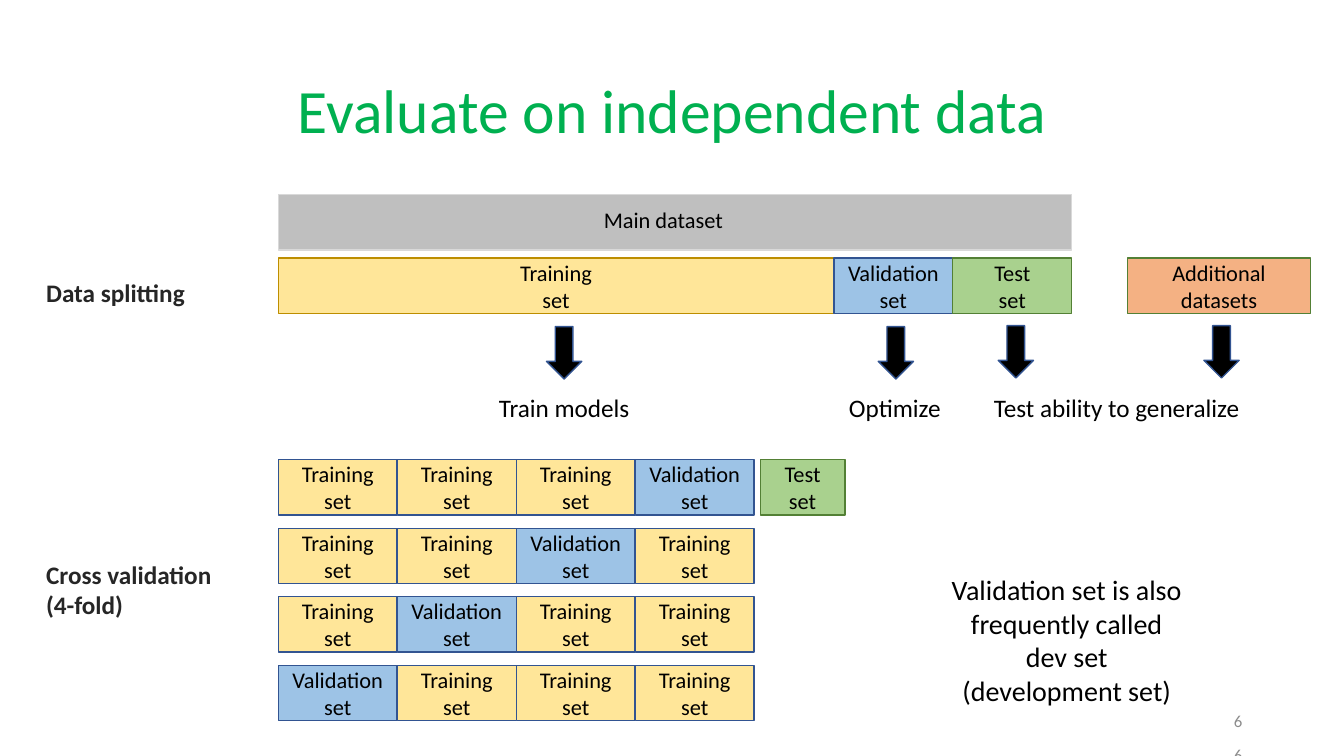
from pptx import Presentation
from pptx.dml.color import RGBColor
from pptx.enum import shapes, text
from pptx.util import Inches, Pt

BLACK = RGBColor(0x00, 0x00, 0x00)
TITLE_GREEN = RGBColor(0x00, 0xB0, 0x50)
LABEL_GRAY = RGBColor(0x26, 0x26, 0x26)
NUMBER_GRAY = RGBColor(0x8C, 0x8C, 0x8C)
MAIN_FILL = RGBColor(0xBF, 0xBF, 0xBF)
MAIN_LINE = RGBColor(0xD9, 0xD9, 0xD9)
TRAINING_FILL = RGBColor(0xFF, 0xE6, 0x99)
TRAINING_LINE = RGBColor(0xBD, 0x8E, 0x00)
VALIDATION_FILL = RGBColor(0x9D, 0xC3, 0xE6)
BLUE_LINE = RGBColor(0x32, 0x54, 0x91)
TEST_FILL = RGBColor(0xA9, 0xD1, 0x8E)
GREEN_LINE = RGBColor(0x53, 0x80, 0x35)
ADDITIONAL_FILL = RGBColor(0xF4, 0xB1, 0x83)

LEFT, CENTER, RIGHT = text.PP_ALIGN.LEFT, text.PP_ALIGN.CENTER, text.PP_ALIGN.RIGHT
TOP, MIDDLE = text.MSO_ANCHOR.TOP, text.MSO_ANCHOR.MIDDLE
RECTANGLE, DOWN_ARROW = shapes.MSO_SHAPE.RECTANGLE, shapes.MSO_SHAPE.DOWN_ARROW

BAR_HEIGHT = 0.55
SET_WIDTH = 1.18


def write(frame, wording, size, color=BLACK, align=CENTER, anchor=TOP, bold=False):
    """Fill a text frame, one paragraph per line of the wording."""
    frame.text = wording
    frame.word_wrap = True
    frame.vertical_anchor = anchor
    for paragraph in frame.paragraphs:
        paragraph.alignment = align
        font = paragraph.font
        font.name, font.size, font.bold = "Calibri", Pt(size), bold
        font.color.rgb = color


def add_label(slide, box, wording, size=18, **style):
    label = slide.shapes.add_textbox(*map(Inches, box))
    write(label.text_frame, wording, size, **style)
    return label


def add_block(slide, box, fill, line, wording="", kind=RECTANGLE):
    block = slide.shapes.add_shape(kind, *map(Inches, box))
    block.shadow.inherit = False
    block.fill.solid()
    block.fill.fore_color.rgb = fill
    block.line.color.rgb = line
    block.line.width = Pt(1)
    if wording:
        write(block.text_frame, wording, 16, anchor=MIDDLE)


def add_title(slide, box):
    title = add_label(slide, box, "Evaluate on independent data", 44,
                      color=TITLE_GREEN, anchor=MIDDLE)
    title.text_frame.paragraphs[0].line_spacing = 0.9


def add_data_splitting(slide, left, top, width):
    # Whole dataset
    add_block(slide, (left, top, width, BAR_HEIGHT), MAIN_FILL, MAIN_LINE)
    add_label(slide, (left + 3.13, top + 0.07, 1.4, 0.37), "Main dataset", 16, align=LEFT)

    # Its parts, each with an arrow below
    training_width = width - 2 * SET_WIDTH
    parts = [
        (0, training_width, "Training\nset", TRAINING_FILL, TRAINING_LINE, 2.66, 1.31),
        (training_width, SET_WIDTH, "Validation set", VALIDATION_FILL, BLUE_LINE, 5.95, 1.31),
        (width - SET_WIDTH, SET_WIDTH, "Test\nset", TEST_FILL, GREEN_LINE, 7.14, 1.3),
        (width + 0.55, 1.82, "Additional datasets", ADDITIONAL_FILL, GREEN_LINE, 9.18, 1.3),
    ]
    for offset, part_width, name, fill, line, arrow_x, arrow_y in parts:
        add_block(slide, (left + offset, top + 0.63, part_width, BAR_HEIGHT), fill, line, name)
        add_block(slide, (left + arrow_x, top + arrow_y, 0.35, 0.52),
                  BLACK, BLUE_LINE, kind=DOWN_ARROW)

    # Purpose of each part
    for offset, purpose_width, purpose in [
        (2.08, 1.51, "Train models"),
        (5.36, 1.51, "Optimize"),
        (6.63, 3.37, "Test ability to generalize"),
    ]:
        add_label(slide, (left + offset, top + 1.91, purpose_width, 0.4), purpose)


def add_cross_validation(slide, left, top, folds=4, pitch=0.68):
    # The validation set moves one place left in each row
    for row in range(folds):
        for column in range(folds):
            held_out = row + column == folds - 1
            add_block(slide,
                      (left + column * SET_WIDTH, top + row * pitch, SET_WIDTH, BAR_HEIGHT),
                      VALIDATION_FILL if held_out else TRAINING_FILL, BLUE_LINE,
                      "Validation\nset" if held_out else "Training\nset")
    add_block(slide, (left + folds * SET_WIDTH + 0.06, top, 0.84, BAR_HEIGHT),
              TEST_FILL, GREEN_LINE, "Test\nset")


def add_row_headings(slide, left):
    for top, width, height, heading in [
        (2.7, 1.6, 0.4, "Data splitting"),
        (5.5, 1.94, 0.71, "Cross validation\n(4-fold)"),
    ]:
        add_label(slide, (left, top, width, height), heading,
                  color=LABEL_GRAY, align=LEFT, bold=True)


def add_page_numbers(slide, left, tops):
    for top in tops:
        add_label(slide, (left, top, 3, 0.4), "6", 12,
                  color=NUMBER_GRAY, align=RIGHT, anchor=MIDDLE)


def main():
    deck = Presentation()
    deck.slide_width, deck.slide_height = Inches(13.33), Inches(7.5)
    slide = deck.slides.add_slide(deck.slide_layouts[6])

    add_title(slide, (0.92, 0.4, 11.5, 1.45))
    add_page_numbers(slide, 9.42, (6.95, 7.29))
    add_data_splitting(slide, 2.76, 1.93, 7.87)
    add_cross_validation(slide, 2.76, 4.56)
    add_row_headings(slide, 0.36)

    # Note on naming
    add_label(slide, (9.26, 5.63, 2.64, 1.45),
              "Validation set is also frequently called\ndev set\v(development set)", 20)

    deck.save("out.pptx")


if __name__ == "__main__":
    main()
